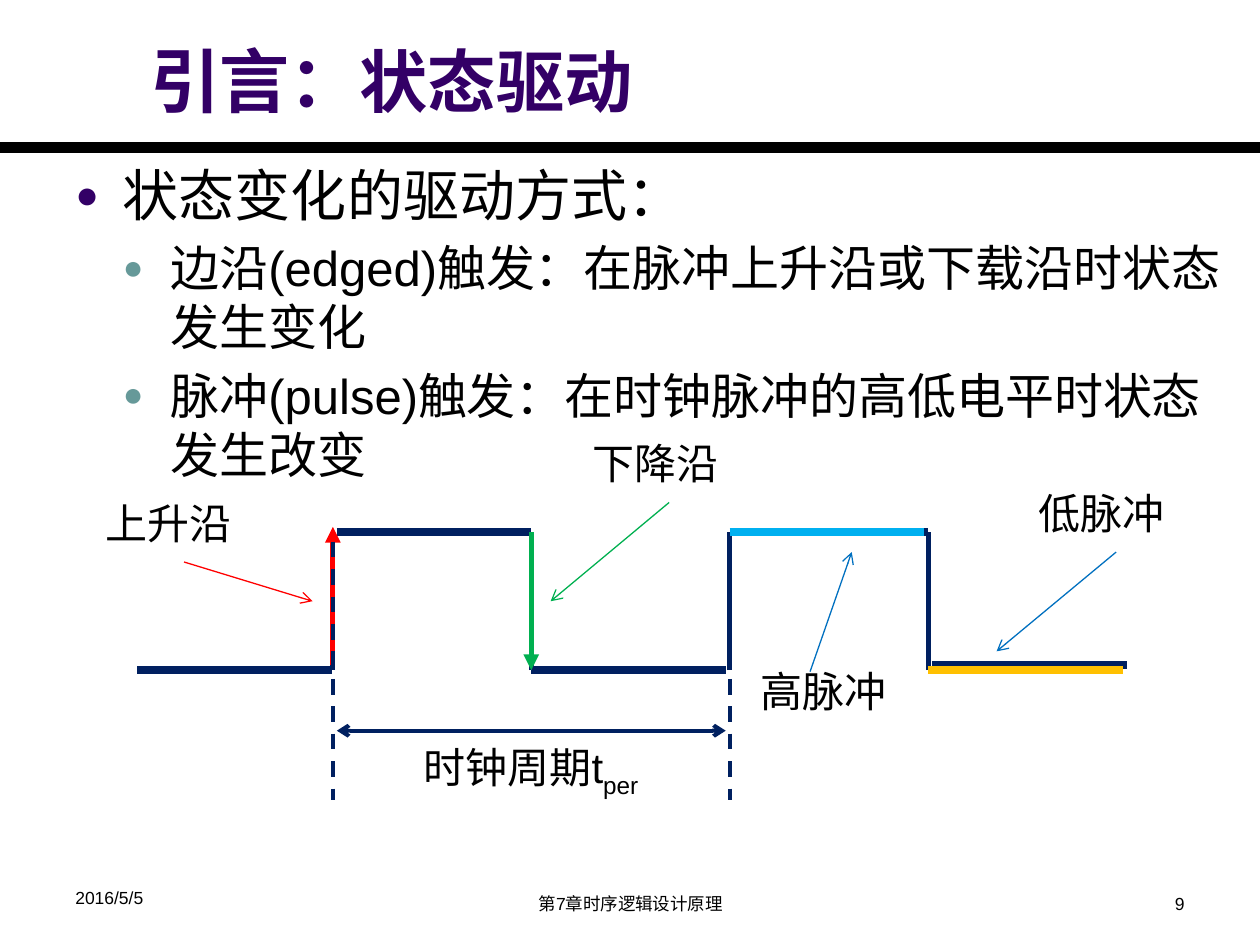
from collections import namedtuple

from lxml import etree
from pptx import Presentation
from pptx.dml.color import RGBColor
from pptx.enum.dml import MSO_LINE
from pptx.enum.shapes import MSO_CONNECTOR, MSO_SHAPE
from pptx.enum.text import MSO_ANCHOR, PP_ALIGN
from pptx.oxml.ns import qn
from pptx.util import Cm, Pt

STRAIGHT = MSO_CONNECTOR.STRAIGHT
ROUNDED = MSO_SHAPE.ROUNDED_RECTANGLE
DASH = MSO_LINE.DASH
LEFT, CENTER, RIGHT = PP_ALIGN.LEFT, PP_ALIGN.CENTER, PP_ALIGN.RIGHT
TOP, MIDDLE, BOTTOM = MSO_ANCHOR.TOP, MSO_ANCHOR.MIDDLE, MSO_ANCHOR.BOTTOM
BLACK, NAVY, PURPLE, TEAL = "000000", "002060", "330066", "669999"
RED, GREEN, BLUE, CYAN, AMBER = "FF0000", "00B050", "0070C0", "00B0F0", "FFC000"

Box = namedtuple("Box", "left top width height")


def colour(value):
    """Turn a hex string into a colour."""
    return RGBColor.from_string(value)


def place(shape, box):
    """Move and size a shape to a box in centimetres."""
    shape.left, shape.top, shape.width, shape.height = map(Cm, box)


def add_span(para, text, size, hue=BLACK, bold=False):
    """Add one formatted run and return it."""
    span = para.add_run()
    span.text = text
    span.font.name = "Arial"
    span.font.size = Pt(size)
    span.font.bold = bold
    span.font.color.rgb = colour(hue)
    return span


def add_text_box(page, box, align=LEFT):
    """Add a wrapping text box and return its first paragraph."""
    frame = page.shapes.add_textbox(*map(Cm, box)).text_frame
    frame.word_wrap = True
    frame.paragraphs[0].alignment = align
    return frame.paragraphs[0]


def add_line(page, start, end, hue, weight, dash=None, head=None, tail=None):
    """Draw a straight line with optional dash and arrowheads."""
    line = page.shapes.add_connector(STRAIGHT, *map(Cm, (*start, *end)))
    line.line.color.rgb = colour(hue)
    line.line.width = Pt(weight)
    if dash:
        line.line.dash_style = dash
    outline = line.line._get_or_add_ln()
    for tag, kind in (("a:headEnd", head), ("a:tailEnd", tail)):
        if kind:
            etree.SubElement(outline, qn(tag), type=kind)
    etree.SubElement(line._element.spPr, qn("a:effectLst"))


def add_label(page, box, text):
    """Add an unfilled rounded label and return its paragraph."""
    label = page.shapes.add_shape(ROUNDED, *map(Cm, box))
    label.shadow.inherit = False
    label.fill.background()
    label.line.fill.background()
    frame = label.text_frame
    frame.word_wrap = True
    frame.vertical_anchor = MIDDLE
    para = frame.paragraphs[0]
    para.alignment = CENTER
    add_span(para, text, 24)
    return para


def add_header(page, box):
    """Format the title and draw the rule along the bottom of the box."""
    title = page.shapes.title
    place(title, Box(box.left + 2.77, box.top + 0.51, 19.18, 2.06))
    frame = title.text_frame
    frame.word_wrap = True
    frame.vertical_anchor = BOTTOM
    para = frame.paragraphs[0]
    para.alignment = LEFT
    add_span(para, "引言：", 40, PURPLE, True)
    add_span(para, "状态驱动", 39, PURPLE, True)
    bottom = box.top + box.height
    add_line(page, (box.left, bottom), (box.left + box.width, bottom), BLACK, 6)


def add_bullets(page, box):
    """Write the bulleted list of driving methods."""
    items = [
        (0, "状态变化的驱动方式：", 32, PURPLE),
        (1, "边沿(edged)触发：在脉冲上升沿或下载沿时状态发生变化", 28, TEAL),
        (1, "脉冲(pulse)触发：在时钟脉冲的高低电平时状态发生改变", 28, TEAL),
    ]
    para = add_text_box(page, box)
    frame = para._parent
    for index, (level, text, size, hue) in enumerate(items):
        if index:
            para = frame.add_paragraph()
        para.level = level
        para.space_before = Pt(size * 0.2)
        add_span(para, text, size)
        settings = para._p.get_or_add_pPr()
        settings.set("marL", str(Cm(0.96 * (level + 1))))
        settings.set("indent", str(-Cm(0.96)))
        bullet_colour = etree.SubElement(settings, qn("a:buClr"))
        etree.SubElement(bullet_colour, qn("a:srgbClr"), val=hue)
        etree.SubElement(settings, qn("a:buSzPct"), val="70000")
        etree.SubElement(settings, qn("a:buFont"), typeface="Arial")
        etree.SubElement(settings, qn("a:buChar"), char="●")


def add_waveform(page, box):
    """Draw the clock signal, its marked parts and its period."""
    edges = [box.left + box.width / 5 * step for step in range(6)]
    high, low = box.top, box.top + box.height
    rise, fall, next_rise, last_fall = edges[1:5]
    levels = [
        (edges[0] + 0.06, low, NAVY),
        (fall, low, NAVY),
        (last_fall + 0.08, low - 0.1, NAVY),
        (rise + 0.08, high, NAVY),
        (next_rise + 0.08, high, NAVY),
        (last_fall, low, AMBER),
        (next_rise, high, CYAN),
    ]
    for edge in edges[1:5]:
        add_line(page, (edge, low), (edge, high), NAVY, 3)
    for left, level, hue in levels:
        add_line(page, (left, level), (left + 3.92, level), hue, 4.5)
    add_line(page, (rise, low - 0.1), (rise, high - 0.1), RED, 3, tail="triangle")
    add_line(page, (fall, low), (fall, high), GREEN, 3, head="triangle")

    for edge in (rise, next_rise):
        add_line(page, (edge, high + 0.2), (edge, high + 5.41), NAVY, 2.25, DASH)
    period = high + 4.01
    add_line(page, (rise + 0.08, period), (next_rise - 0.08, period), NAVY, 2.25,
             head="arrow", tail="arrow")
    para = add_label(page, Box(rise + 0.73, period, 6.53, 1.6), "时钟周期t")
    subscript = add_span(para, "per", 24)
    subscript.font._element.set("baseline", "-25000")


def add_callouts(page, box):
    """Name the edges and pulses, each with a pointing arrow."""
    callouts = [
        ("上升沿", (0, 1.2), (2.01, 2.8), (4.6, 3.59), RED),
        ("下降沿", (9.81, 0), (11.79, 1.6), (9.4, 3.59), GREEN),
        ("低脉冲", (18.8, 1), (20.8, 2.6), (18.39, 4.6), BLUE),
        ("高脉冲", (13.21, 4.6), (14.63, 5.01), (15.47, 2.6), BLUE),
    ]
    for text, corner, start, end, hue in callouts:
        corner, start, end = [(box.left + x, box.top + y)
                              for x, y in (corner, start, end)]
        add_label(page, Box(*corner, 3.4, 1.6), text)
        add_line(page, start, end, hue, 0.75, tail="arrow")


def add_footer(page, box):
    """Write the date, chapter and page number."""
    parts = [
        ("2016/5/5", 0, 0, 5.92, LEFT),
        ("第7章时序逻辑设计原理", 7.42, 0.13, 8.05, CENTER),
        ("9", box.width - 5.92, 0.13, 5.92, RIGHT),
    ]
    for text, left, top, width, align in parts:
        place_box = Box(box.left + left, box.top + top, width, box.height - top)
        add_span(add_text_box(page, place_box, align), text, 10)


def main():
    """Build and save the slide."""
    deck = Presentation()
    deck.slide_width, deck.slide_height = Cm(25.4), Cm(19.05)
    page = deck.slides.add_slide(deck.slide_layouts[5])
    add_header(page, Box(0, 0, 25.4, 2.97))
    add_bullets(page, Box(1.27, 3.12, 24.13, 4.6))
    add_waveform(page, Box(2.71, 10.72, 20, 2.79))
    add_callouts(page, Box(1.7, 8.53, 22.2, 6.2))
    add_footer(page, Box(1.27, 17.75, 22.86, 0.86))
    deck.save("out.pptx")


if __name__ == "__main__":
    main()
